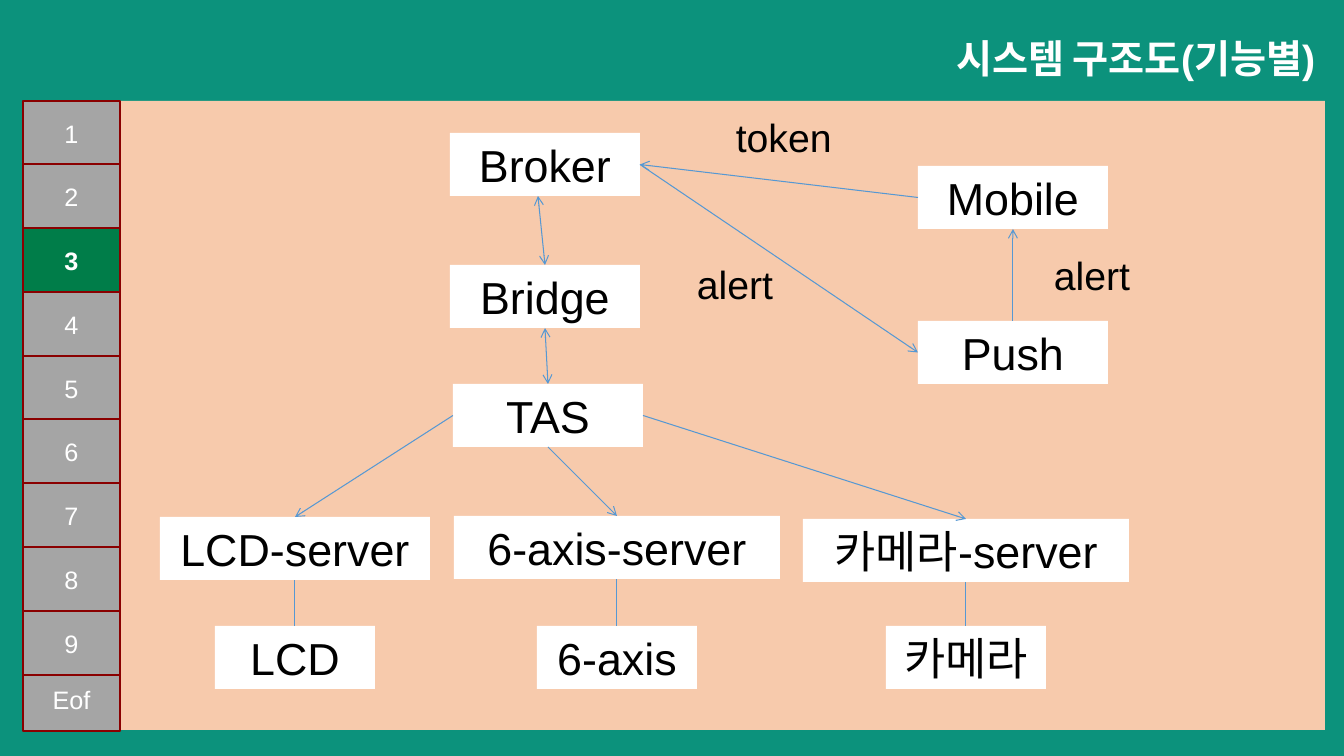
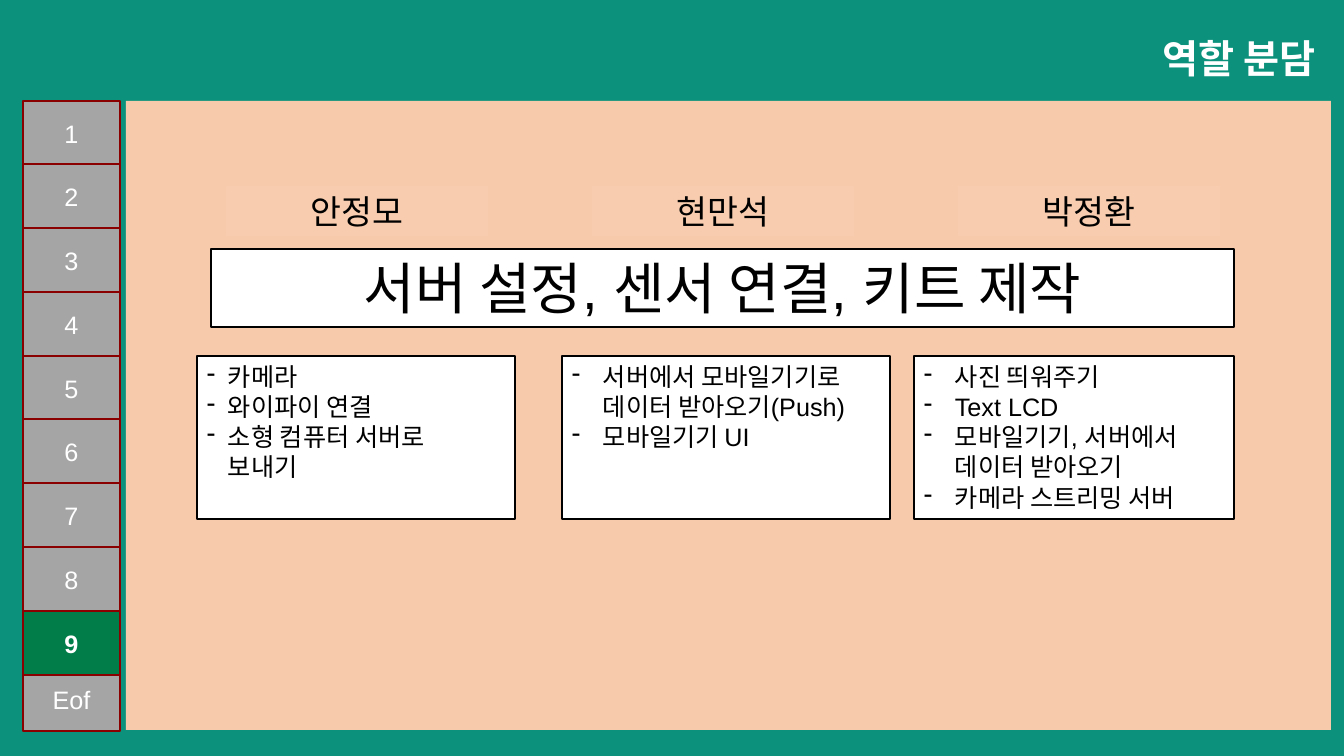
from dataclasses import dataclass

from pptx import Presentation
from pptx.dml.color import RGBColor
from pptx.enum.shapes import MSO_CONNECTOR, MSO_SHAPE
from pptx.enum.text import MSO_ANCHOR, PP_ALIGN
from pptx.oxml.xmlchemy import OxmlElement
from pptx.util import Inches, Pt


@dataclass(frozen=True)
class Theme:
    font: str = "Arial"
    back: str = "0C927C"
    panel: str = "F7CAAC"
    name: str = "F8CCAE"
    tab: str = "A5A5A5"
    active: str = "007D49"
    rim: str = "8A0000"
    wire: str = "5698D3"
    white: str = "FFFFFF"
    black: str = "000000"
    small: int = 18
    mid: int = 24
    title: int = 28
    node: int = 32
    big: int = 40
    thin: float = 0.75


T = Theme()
LEFT, CENTER, RIGHT = PP_ALIGN.LEFT, PP_ALIGN.CENTER, PP_ALIGN.RIGHT
TOP, MIDDLE = MSO_ANCHOR.TOP, MSO_ANCHOR.MIDDLE


def px(n):
    return round(n * Inches(1) / 100.8)


def box(slide, at, fill=None, text="", size=T.small, color=T.black,
        bold=False, align=CENTER, anchor=TOP, edge=None):
    """Add a filled rectangle, or a plain text box when there is no fill."""
    place = [px(n) for n in at]
    if fill:
        shape = slide.shapes.add_shape(MSO_SHAPE.RECTANGLE, *place)
        shape.shadow.inherit = False
        shape.fill.solid()
        shape.fill.fore_color.rgb = RGBColor.from_string(fill)
    else:
        shape = slide.shapes.add_textbox(*place)
    if edge:
        shape.line.color.rgb = RGBColor.from_string(edge)
        shape.line.width = Pt(1)
    else:
        shape.line.fill.background()
    frame = shape.text_frame
    frame.word_wrap = True
    frame.vertical_anchor = anchor
    frame.text = text
    for para in frame.paragraphs:
        para.alignment = align
        for run in para.runs:
            run.font.name = T.font
            run.font.size = Pt(size)
            run.font.bold = bold
            run.font.color.rgb = RGBColor.from_string(color)
    return shape


deck = Presentation()
deck.slide_width, deck.slide_height = px(1344), px(756)

# Shared frame: background, title, panel and numbered tabs
tabs = [(str(i + 1), 101 + 510 * i // 8) for i in range(9)]
slides = []
for title, active, left in [("시스템 구조도(기능별)", "3", 120),
                            ("역할 분담", "9", 126)]:
    slide = deck.slides.add_slide(deck.slide_layouts[6])
    box(slide, (0, 0, 1344, 756), T.back)
    box(slide, (120, 29, 1205, 57), text=title, size=T.title,
        color=T.white, bold=True, align=RIGHT)
    box(slide, (left, 101, 1205, 629), T.panel)
    for label, top in [("Eof", 667)] + tabs:
        on = label == active
        box(slide, (23, top, 97, 64), T.active if on else T.tab, label,
            color=T.white, bold=on, anchor=MIDDLE, edge=T.rim)
    slides.append(slide)
chart, roles = slides

# System diagram
nodes = {}
for key, text, x, y, w in [
    ("hub", "Broker", 450, 133, 190),
    ("gate", "Bridge", 450, 265, 190),
    ("app", "Mobile", 918, 166, 190),
    ("push", "Push", 918, 321, 190),
    ("tas", "TAS", 453, 384, 190),
    ("lcd server", "LCD-server", 160, 517, 270),
    ("axis server", "6-axis-server", 454, 516, 326),
    ("cam server", "카메라-server", 803, 519, 326),
    ("lcd", "LCD", 215, 626, 160),
    ("axis", "6-axis", 537, 626, 160),
    ("cam", "카메라", 886, 626, 160),
]:
    nodes[key] = box(chart, (x, y, w, 63), T.white, text, T.node, anchor=MIDDLE)

for text, x, y in [("alert", 1044, 246), ("token", 726, 108), ("alert", 687, 255)]:
    box(chart, (x, y, 120, 57), text=text, size=T.title, align=LEFT)

# Rectangle connection sites
N, W, S, E = range(4)
for start, out, end, into, heads in [
    ("lcd", N, "lcd server", S, ()),
    ("axis", N, "axis server", S, ()),
    ("cam", N, "cam server", S, ()),
    ("tas", W, "lcd server", N, ("tailEnd",)),
    ("tas", S, "axis server", N, ("tailEnd",)),
    ("tas", E, "cam server", N, ("tailEnd",)),
    (None, S, "gate", N, ("headEnd", "tailEnd")),
    ("gate", S, "tas", N, ("headEnd", "tailEnd")),
    ("hub", E, "push", W, ("tailEnd",)),
    ("push", N, "app", S, ("tailEnd",)),
    ("app", W, "hub", E, ("tailEnd",)),
]:
    # A link without a start node leaves the hub left of its middle
    wire = chart.shapes.add_connector(
        MSO_CONNECTOR.STRAIGHT, px(538), px(196), px(545), px(265))
    if start:
        wire.begin_connect(nodes[start], out)
    wire.end_connect(nodes[end], into)
    wire.line.color.rgb = RGBColor.from_string(T.wire)
    wire.line.width = Pt(T.thin)
    for tag in heads:
        tip = OxmlElement("a:" + tag)
        tip.set("type", "arrow")
        wire.line._get_or_add_ln().append(tip)
    wire._element.spPr.append(OxmlElement("a:effectLst"))

# Roles
for i, name in enumerate(["안정모", "현만석", "박정환"]):
    box(roles, (226 + 366 * i, 186, 262, 50), T.name, name, T.mid)
box(roles, (211, 249, 1023, 78), T.white, "서버 설정, 센서 연결, 키트 제작",
    T.big, edge=T.black)

for x, w, hang, tasks in [
    (197, 318, 21, ["카메라", "와이파이 연결", "소형 컴퓨터 서버로\v보내기"]),
    (562, 328, 31, ["서버에서 모바일기기로 데이터 받아오기(Push)", "모바일기기 UI"]),
    (914, 320, 31, ["사진 띄워주기", "Text LCD",
                    "모바일기기, 서버에서\v데이터 받아오기", "카메라 스트리밍 서버"]),
]:
    card = box(roles, (x, 356, w, 163), T.white, "\n".join(tasks),
               align=LEFT, edge=T.black)
    for para in card.text_frame.paragraphs:
        props = para._p.get_or_add_pPr()
        props.set("marL", str(px(hang)))
        props.set("indent", str(-px(hang)))
        dash = OxmlElement("a:buChar")
        dash.set("char", "-")
        props.append(dash)

deck.save("out.pptx")
